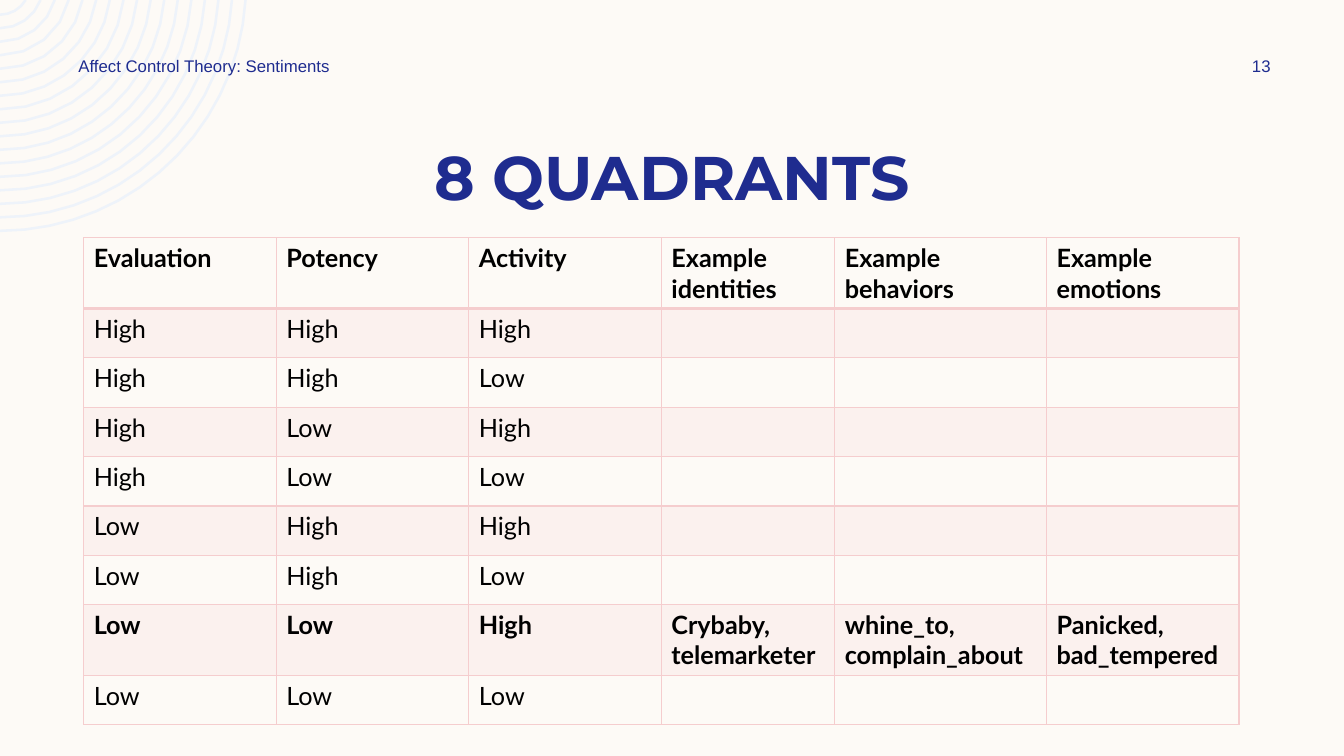
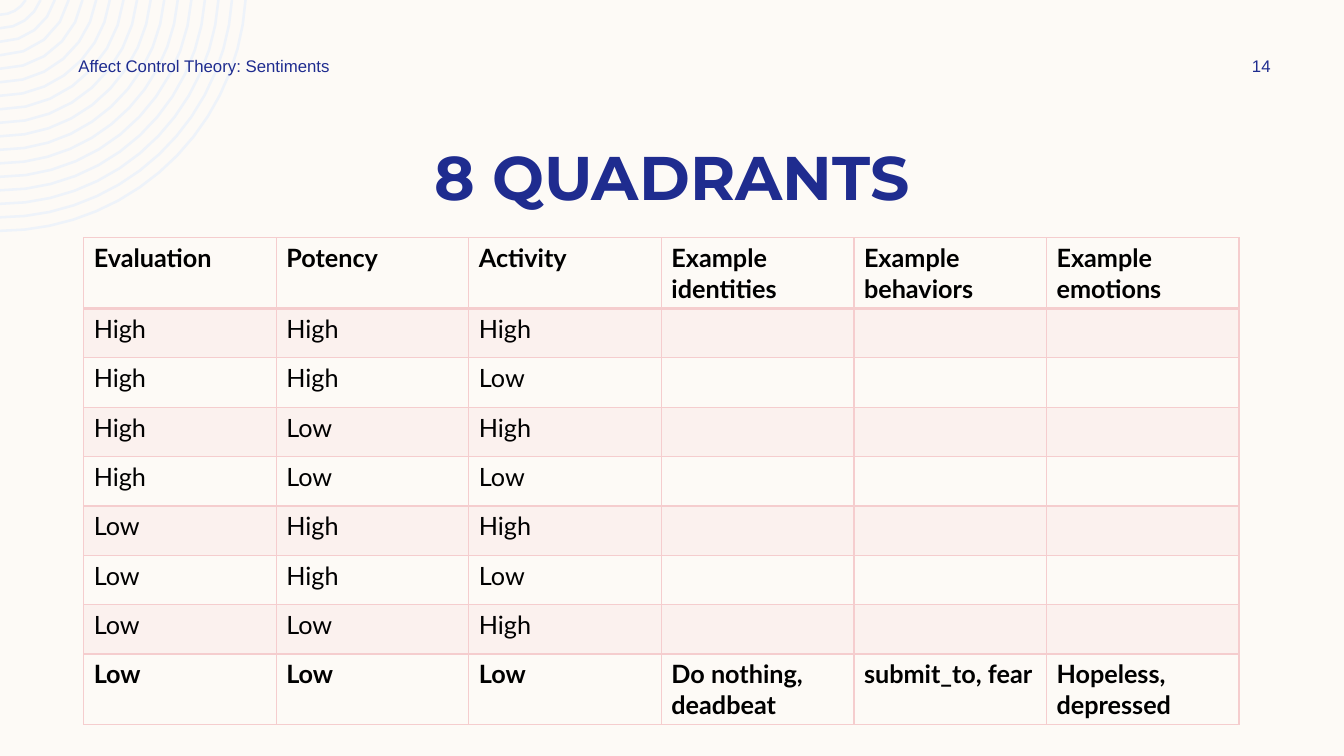
from itertools import product
from math import asin, cos, pi, sin

from lxml.etree import SubElement
from pptx import Presentation
from pptx.dml.color import RGBColor
from pptx.enum.text import MSO_ANCHOR as ANCHOR, PP_ALIGN as ALIGN
from pptx.oxml import parse_xml
from pptx.oxml.ns import nsdecls, qn
from pptx.util import Inches, Pt

# Content
RUNNING_HEAD = "Affect Control Theory: Sentiments"
TITLE = "8 QUADRANTS"
HEADER = ("Evaluation", "Potency", "Activity",
          "Example identities", "Example behaviors", "Example emotions")
QUADRANTS = list(product(("High", "Low"), repeat=3))
SLIDES = [
    {"number": 13, "cols": (1.91, 1.91, 1.91, 1.72, 2.1, 1.91),
     "quadrant": ("Low", "Low", "High"),
     "examples": ("Crybaby, telemarketer", "whine_to, complain_about",
                  "Panicked, bad_tempered")},
    {"number": 14, "cols": (1.91,) * 6,
     "quadrant": ("Low", "Low", "Low"),
     "examples": ("Do nothing,\ndeadbeat", "submit_to, fear",
                  "Hopeless, depressed")},
]


class Theme:
    paper, rings, navy, pink, black = "FDFAF6", "EEF3FA", "1F2C8F", "F5CDCE", "000000"
    title = ("Montserrat", 44, navy, True)
    small = ("Arial", 12, navy, False)
    body = ("Lato", 18, black, False)
    strong = ("Lato", 18, black, True)
    band_alpha = 20
    ring_width = 1.8


def rgb(color):
    return RGBColor.from_string(color)


def write(tf, text, style, align=ALIGN.LEFT):
    font, size, color, bold = style
    for i, line in enumerate(text.split("\n")):
        p = tf.add_paragraph() if i else tf.paragraphs[0]
        p.alignment = align
        r = p.add_run()
        r.text = line
        r.font.name, r.font.size, r.font.bold = font, Pt(size), bold
        r.font.color.rgb = rgb(color)


def add_text(s, box, text, style, align=ALIGN.LEFT, anchor=ANCHOR.MIDDLE):
    tf = s.shapes.add_textbox(*map(Inches, box)).text_frame
    tf.word_wrap = True
    tf.vertical_anchor = anchor
    write(tf, text, style, align)


# Concentric arcs, centred just above the top left corner
def arc(radius, rise):
    start = asin(rise / radius)
    steps = max(4, round(6 * radius))
    angles = [start + (pi / 2 - start) * i / steps for i in range(steps + 1)]
    return [(Inches(radius * cos(a)), Inches(radius * sin(a) - rise)) for a in angles]


def add_rings(s, count=17, radius=2.44, step=0.134, rise=0.15):
    arcs = [arc(radius - i * step, rise) for i in range(count)]
    builder = s.shapes.build_freeform(*arcs[0][0])
    for i, points in enumerate(arcs):
        if i:
            builder.move_to(*points[0])
        builder.add_line_segments(points[1:], close=False)
    sp = builder.convert_to_shape()
    sp.shadow.inherit = False
    sp.fill.background()
    sp.line.color.rgb = rgb(Theme.rings)
    sp.line.width = Pt(Theme.ring_width)


# Table
def fill_cell(cell, banded):
    if not banded:
        cell.fill.background()
        return
    cell.fill.solid()
    cell.fill.fore_color.rgb = rgb(Theme.pink)
    color = next(cell._tc.tcPr.iter(qn("a:srgbClr")))
    SubElement(color, qn("a:alpha")).set("val", str(Theme.band_alpha * 1000))


def add_borders(cell, bottom):
    widths = {"L": 1, "R": 1, "T": 1, "B": bottom}
    for i, (side, width) in enumerate(widths.items()):
        cell._tc.tcPr.insert(i, parse_xml(
            f'<a:ln{side} {nsdecls("a")} w="{Pt(width)}"><a:solidFill>'
            f'<a:srgbClr val="{Theme.pink}"/></a:solidFill></a:ln{side}>'))


def add_quadrants(s, cols, quadrant, examples, row_height=0.49):
    rows = [HEADER] + [q + (examples if q == quadrant else ("",) * 3) for q in QUADRANTS]
    box = (0.83, 2.36, sum(cols), row_height * len(rows))
    table = s.shapes.add_table(len(rows), len(cols), *map(Inches, box)).table
    table.first_row = table.horz_banding = False
    for column, width in zip(table.columns, cols):
        column.width = Inches(width)
    for i, row in enumerate(rows):
        strong = i == 0 or row[:3] == quadrant
        for j, text in enumerate(row):
            cell = table.cell(i, j)
            fill_cell(cell, banded=i % 2 == 1)
            add_borders(cell, bottom=1 if i else 2)
            if text:
                write(cell.text_frame, text, Theme.strong if strong else Theme.body)


def main():
    prs = Presentation()
    prs.slide_width, prs.slide_height = Inches(13.33), Inches(7.5)
    background = prs.slide_master.background.fill
    background.solid()
    background.fore_color.rgb = rgb(Theme.paper)
    for item in SLIDES:
        s = prs.slides.add_slide(prs.slide_layouts[6])
        add_rings(s)
        add_text(s, (0.83, 1.33, 11.67, 0.84), TITLE, Theme.title, ALIGN.CENTER, ANCHOR.TOP)
        add_quadrants(s, item["cols"], item["quadrant"], item["examples"])
        add_text(s, (0.68, 0.5, 3.5, 0.3), RUNNING_HEAD, Theme.small)
        add_text(s, (11.97, 0.5, 1.08, 0.3), str(item["number"]), Theme.small, ALIGN.CENTER)
    prs.save("out.pptx")


if __name__ == "__main__":
    main()
